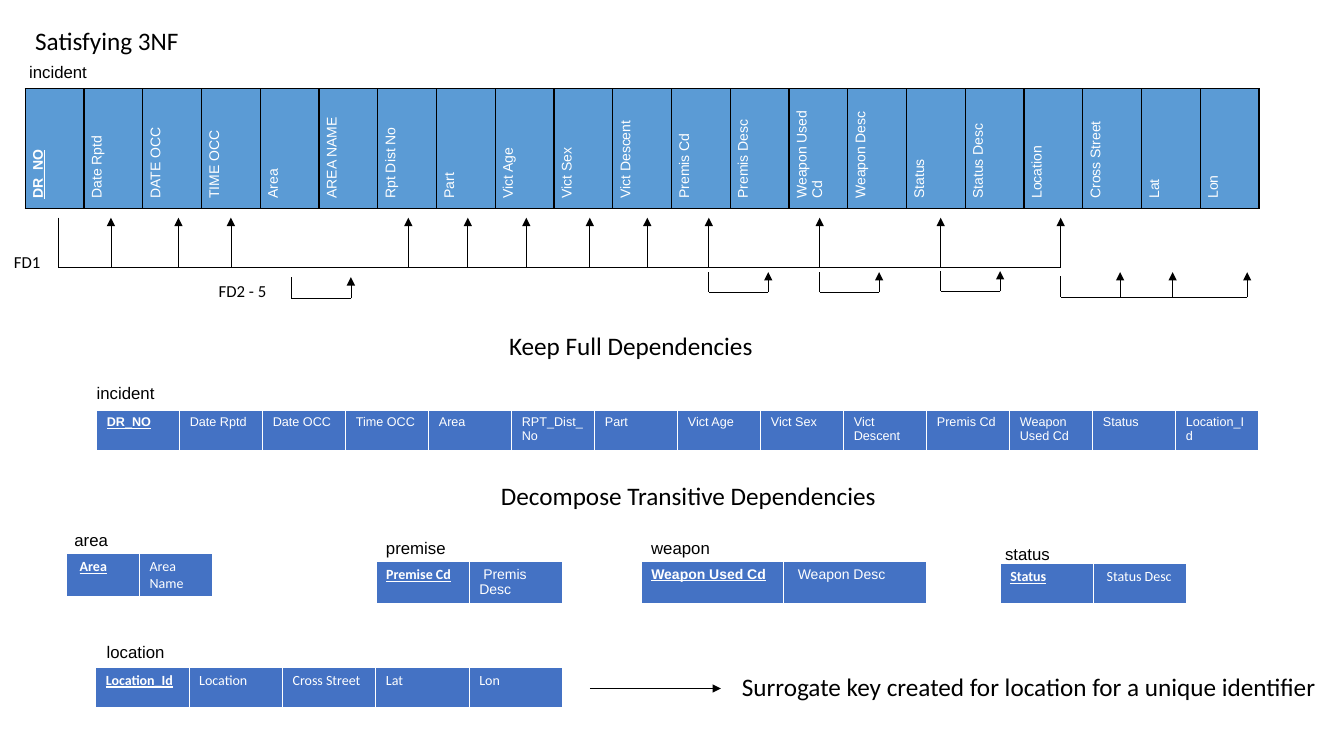
from dataclasses import dataclass
from typing import Any

from pptx import Presentation
from pptx.dml.color import RGBColor as Color
from pptx.enum.shapes import MSO_CONNECTOR as Connector
from pptx.enum.text import MSO_ANCHOR as Anchor, MSO_AUTO_SIZE as AutoSize
from pptx.oxml.xmlchemy import OxmlElement as Element
from pptx.slide import Slide
from pptx.util import Inches, Pt


@dataclass(frozen=True)
class Theme:
    black: str = "000000"
    white: str = "FFFFFF"
    light_blue: str = "5B9BD5"
    blue: str = "4472C4"
    heading_size: float = 18
    label_size: float = 12
    column_size: float = 10
    small_size: float = 9
    line_width: float = 0.5
    sans: str = "Arial"
    body: str = "Calibri"


THEME = Theme()
HEADING = {"name": THEME.body, "size": Pt(THEME.heading_size)}
FD_LABEL = {"name": THEME.body, "size": Pt(THEME.label_size)}
RELATION_LABEL = {"name": THEME.sans, "size": Pt(THEME.label_size)}


@dataclass(frozen=True)
class Label:
    text: str
    left: float
    top: float
    width: float
    height: float
    style: dict[str, Any]


@dataclass(frozen=True)
class Relation:
    """A schema whose first column is its key."""
    columns: list[str]
    left: float
    top: float
    width: float
    fonts: tuple[str, ...] = (THEME.body,)  # the last font serves the remaining columns
    size: float = THEME.column_size
    height: float = 0.41
    fill: str = THEME.blue
    border: str = THEME.white
    bottom_border: float = 3
    upright: bool = False


@dataclass(frozen=True)
class Dependency:
    """A determinant joined by a base line to the columns it determines."""
    determinant: float
    stem_top: float
    base: float
    tip: float
    dependents: list[float]


LABELS = [
    Label("Satisfying 3NF", 0.25, 0.2, 1.64, 0.4, HEADING),
    Label("Keep Full Dependencies", 4.95, 3.23, 2.65, 0.4, HEADING),
    Label("Decompose Transitive Dependencies", 4.87, 4.72, 4.03, 0.4, HEADING),
    Label("Surrogate key created for location for a unique identifier",
          7.26, 6.61, 5.97, 0.4, HEADING),
    Label("FD1", 0.04, 2.45, 0.47, 0.3, FD_LABEL),
    Label("FD2 - 5", 2.07, 2.74, 0.68, 0.3, FD_LABEL),
    Label("incident", 0.19, 0.56, 0.78, 0.3, RELATION_LABEL),
    Label("incident", 0.86, 3.75, 0.78, 0.3, RELATION_LABEL),
    Label("area", 0.64, 5.21, 0.54, 0.3, RELATION_LABEL),
    Label("premise", 3.73, 5.29, 0.8, 0.3, RELATION_LABEL),
    Label("weapon", 6.36, 5.29, 0.79, 0.3, RELATION_LABEL),
    Label("status", 9.87, 5.35, 0.65, 0.3, RELATION_LABEL),
    Label("location", 0.96, 6.32, 0.78, 0.3, RELATION_LABEL),
]

RELATIONS = [
    Relation(["DR_NO", "Date Rptd", "DATE OCC", "TIME OCC", "Area", "AREA NAME",
              "Rpt Dist No", "Part", "Vict Age", "Vict Sex", "Vict Descent",
              "Premis Cd", "Premis Desc", "Weapon Used Cd", "Weapon Desc", "Status",
              "Status Desc", "Location", "Cross Street", "Lat", "Lon"],
             0.25, 0.88, 12.24, (THEME.sans,), height=1.15, fill=THEME.light_blue,
             border=THEME.black, bottom_border=1, upright=True),
    Relation(["DR_NO", "Date Rptd", "Date OCC", "Time OCC", "Area", "RPT_Dist_No",
              "Part", "Vict Age", "Vict Sex", "Vict Descent", "Premis Cd",
              "Weapon Used Cd", "Status", "Location_Id"],
             0.96, 4.07, 11.53, (THEME.sans,), size=THEME.small_size),
    Relation([" Area", "Area Name"], 0.66, 5.49, 1.45, height=0.43),
    Relation(["Premise Cd", " Premis Desc"], 3.73, 5.57, 1.85,
             (THEME.body, THEME.sans), height=0.43),
    Relation(["Weapon Used Cd", " Weapon Desc"], 6.36, 5.57, 2.83,
             (THEME.sans,), height=0.43),
    Relation(["Status", " Status Desc"], 9.92, 5.59, 1.85),
    Relation(["Location_Id", "Location", "Cross Street", "Lat", "Lon"], 0.95, 6.62, 4.63),
]

DEPENDENCIES = [
    Dependency(0.58, 2.16, 2.65, 2.16, [1.1, 1.77, 2.29, 4.05, 4.64, 5.22, 5.85,
                                        6.42, 7.03, 8.13, 9.33, 10.52]),
    Dependency(2.89, 2.75, 2.96, 2.75, [3.48]),
    Dependency(7.03, 2.7, 2.9, 2.7, [7.62]),
    Dependency(8.13, 2.7, 2.9, 2.7, [8.72]),
    Dependency(9.33, 2.69, 2.89, 2.69, [9.92]),
    Dependency(10.52, 2.74, 2.95, 2.7, [11.11, 11.63, 12.37]),
]


def apply_format(font: Any, style: dict[str, Any], color: str) -> None:
    for attribute, value in style.items():
        setattr(font, attribute, value)
    font.color.rgb = Color.from_string(color)


def draw_label(slide: Slide, label: Label) -> None:
    box = slide.shapes.add_textbox(Inches(label.left), Inches(label.top),
                                   Inches(label.width), Inches(label.height))
    frame = box.text_frame
    frame.word_wrap = False
    frame.auto_size = AutoSize.SHAPE_TO_FIT_TEXT
    run = frame.paragraphs[0].add_run()
    run.text = label.text
    apply_format(run.font, label.style, THEME.black)


def draw_line(slide: Slide, x1: float, y1: float, x2: float, y2: float,
              arrow: bool = False) -> None:
    connector = slide.shapes.add_connector(
        Connector.STRAIGHT, Inches(x1), Inches(y1), Inches(x2), Inches(y2))
    connector.line.width = Pt(THEME.line_width)
    connector.line.color.rgb = Color.from_string(THEME.black)
    if arrow:
        head = Element("a:tailEnd")
        head.set("type", "triangle")
        connector.line._get_or_add_ln().append(head)
    connector._element.spPr.append(Element("a:effectLst"))


def draw_dependency(slide: Slide, fd: Dependency) -> None:
    draw_line(slide, fd.determinant, fd.stem_top, fd.determinant, fd.base)
    draw_line(slide, fd.determinant, fd.base, fd.dependents[-1], fd.base)
    for x in fd.dependents:
        draw_line(slide, x, fd.base, x, fd.tip, arrow=True)


def border_cell(cell: Any, color: str, bottom: float) -> None:
    properties = cell._tc.get_or_add_tcPr()
    for side, width in {"L": 1, "R": 1, "T": 1, "B": bottom}.items():
        edge = Element(f"a:ln{side}")
        edge.set("w", str(Pt(width)))
        paint = Element("a:solidFill")
        shade = Element("a:srgbClr")
        shade.set("val", color)
        paint.append(shade)
        edge.append(paint)
        properties.append(edge)


def draw_relation(slide: Slide, relation: Relation) -> None:
    count = len(relation.columns)
    table = slide.shapes.add_table(
        1, count, Inches(relation.left), Inches(relation.top),
        Inches(relation.width), Inches(relation.height)).table
    table.first_row = table.horz_banding = False
    for index, column in enumerate(relation.columns):
        table.columns[index].width = Inches(relation.width / count)
        cell = table.cell(0, index)
        border_cell(cell, relation.border, relation.bottom_border)
        cell.fill.solid()
        cell.fill.fore_color.rgb = Color.from_string(relation.fill)
        if relation.upright:
            cell.vertical_anchor = Anchor.MIDDLE
            cell._tc.get_or_add_tcPr().set("vert", "vert270")
        # Only the key's name is underlined, not a space before it
        name = column.lstrip()
        for text in filter(None, (column[:-len(name)], name)):
            key = index == 0 and text == name
            run = cell.text_frame.paragraphs[0].add_run()
            run.text = text
            font_name = relation.fonts[min(index, len(relation.fonts) - 1)]
            apply_format(run.font, {"name": font_name, "size": Pt(relation.size),
                                    "bold": key, "underline": key}, THEME.white)


def main() -> None:
    deck = Presentation()
    deck.slide_width, deck.slide_height = Inches(13.33), Inches(7.5)
    slide = deck.slides.add_slide(deck.slide_layouts[6])
    # Schemas
    for relation in RELATIONS:
        draw_relation(slide, relation)
    # Functional dependencies and the surrogate key arrow
    for fd in DEPENDENCIES:
        draw_dependency(slide, fd)
    draw_line(slide, 5.85, 6.83, 7.15, 6.83, arrow=True)
    # Headings and names
    for label in LABELS:
        draw_label(slide, label)
    deck.save("out.pptx")


if __name__ == "__main__":
    main()
